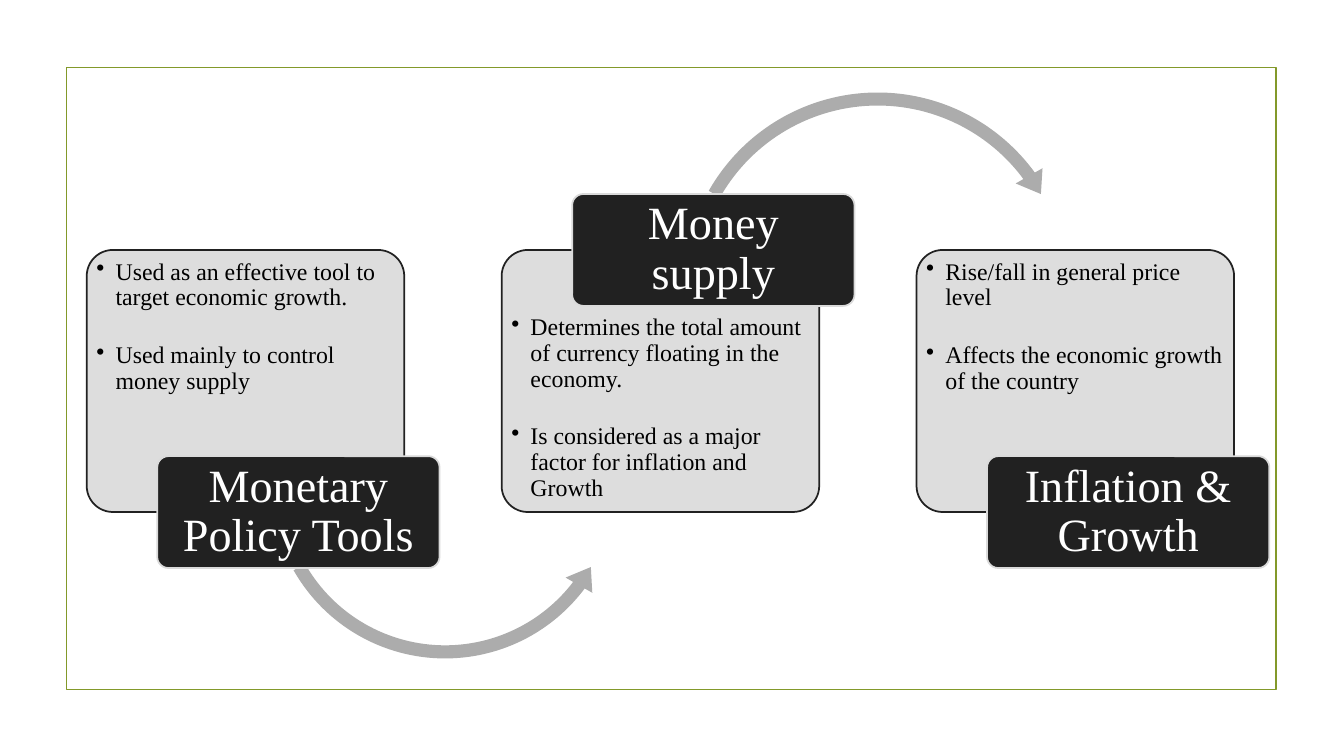
from pptx import Presentation
from pptx.dml.color import RGBColor
from pptx.enum.shapes import MSO_SHAPE
from pptx.enum.text import MSO_ANCHOR, PP_ALIGN
from pptx.oxml.ns import qn
from pptx.util import Inches, Pt
from lxml.etree import SubElement

COLORS = {"frame": "83992A", "card": "DADADA", "title": "212121",
          "arrow": "ACACAC", "body_text": "000000", "title_text": "FFFFFF"}
FONT = "Times New Roman"
CARD_LEFT, CARD_TOP, CARD_WIDTH, CARD_HEIGHT = 0.86, 2.48, 3.15, 2.6
CARD_PITCH = 4.115
TITLE_OFFSET, TITLE_WIDTH, TITLE_HEIGHT = 0.7, 2.8, 1.11

# Title, whether it sits on the card's top edge, bullets
STAGES = [
    ("Monetary Policy Tools", False,
     ["Used as an effective tool to target economic growth.",
      "Used mainly to control money supply"]),
    ("Money supply", True,
     ["Determines the total amount of currency floating in the economy.",
      "Is considered as a major factor for inflation and Growth"]),
    ("Inflation & Growth", False,
     ["Rise/fall in general price level",
      "Affects the economic growth of the country"]),
]
# Arrow leaving each stage: preset, box, adjustments
ARROWS = [
    (MSO_SHAPE.LEFT_CIRCULAR_ARROW, (2.6, 2.99, 3.63, 3.63),
     (0.036, 4.45, 22.205, 90.245, 0.042)),
    (MSO_SHAPE.CIRCULAR_ARROW, (6.69, 0.83, 4.03, 4.03),
     (0.032, 3.972, 194.273, 125.755, 0.038)),
]


def add_shape(slide, preset, box, fill=None, line=None, adjustments=()):
    shape = slide.shapes.add_shape(preset, *map(Inches, box))
    shape.shadow.inherit = False
    for index, value in enumerate(adjustments):
        shape.adjustments[index] = value
    if fill:
        shape.fill.solid()
        shape.fill.fore_color.rgb = RGBColor.from_string(COLORS[fill])
    else:
        shape.fill.background()
    if line:
        shape.line.color.rgb = RGBColor.from_string(COLORS[line])
        shape.line.width = Pt(1.25)
    else:
        shape.line.fill.background()
    return shape


def fill_text(shape, texts, size, color, align, anchor, insets):
    """Write one paragraph per text; insets are left, top, right, bottom."""
    frame = shape.text_frame
    frame.word_wrap = True
    frame.vertical_anchor = anchor
    (frame.margin_left, frame.margin_top,
     frame.margin_right, frame.margin_bottom) = map(Inches, insets)
    for index, text in enumerate(texts):
        paragraph = frame.add_paragraph() if index else frame.paragraphs[0]
        paragraph.text = text
        paragraph.alignment = align
        paragraph.line_spacing = 0.9
        paragraph.font.size = Pt(size)
        paragraph.font.name = FONT
        paragraph.font.color.rgb = RGBColor.from_string(COLORS[color])
    return frame.paragraphs


def add_bullet(paragraph):
    properties = paragraph._p.get_or_add_pPr()
    properties.set("marL", str(Inches(0.19)))
    properties.set("indent", str(-Inches(0.19)))
    SubElement(properties, qn("a:buChar")).set("char", "•")


def add_card(slide, box, bullets, text_top):
    card = add_shape(slide, MSO_SHAPE.ROUNDED_RECTANGLE, box,
                     "card", "title", [0.1])
    color = card.fill._xPr.find(qn("a:solidFill"))[0]
    SubElement(color, qn("a:alpha")).set("val", "90000")
    paragraphs = fill_text(card, bullets, 17, "body_text", PP_ALIGN.LEFT,
                           MSO_ANCHOR.TOP, (0.02, text_top, 0.02, 0.02))
    for paragraph in paragraphs:
        paragraph.space_after = Pt(23)
        add_bullet(paragraph)


def add_title(slide, box, title):
    shape = add_shape(slide, MSO_SHAPE.ROUNDED_RECTANGLE, box,
                      "title", "card", [0.1])
    fill_text(shape, [title], 33, "title_text", PP_ALIGN.CENTER,
              MSO_ANCHOR.MIDDLE, (0.07, 0.05, 0.07, 0.05))


def add_stage(slide, box, title, title_on_top, bullets, arrow):
    left, top, width, height = box
    add_card(slide, box, bullets, 0.57 if title_on_top else 0.02)
    if arrow:
        preset, arrow_box, adjustments = arrow
        add_shape(slide, preset, arrow_box, "arrow", None, adjustments)
    edge = top if title_on_top else top + height
    add_title(slide, (left + TITLE_OFFSET, edge - TITLE_HEIGHT / 2,
                      TITLE_WIDTH, TITLE_HEIGHT), title)


def main():
    presentation = Presentation()
    presentation.slide_width = Inches(13.33)
    presentation.slide_height = Inches(7.5)
    slide = presentation.slides.add_slide(presentation.slide_layouts[6])
    add_shape(slide, MSO_SHAPE.RECTANGLE, (0.66, 0.67, 12, 6.17), line="frame")
    for column, (title, title_on_top, bullets) in enumerate(STAGES):
        box = (CARD_LEFT + column * CARD_PITCH, CARD_TOP, CARD_WIDTH, CARD_HEIGHT)
        arrow = ARROWS[column] if column < len(ARROWS) else None
        add_stage(slide, box, title, title_on_top, bullets, arrow)
    presentation.save("out.pptx")


if __name__ == "__main__":
    main()
